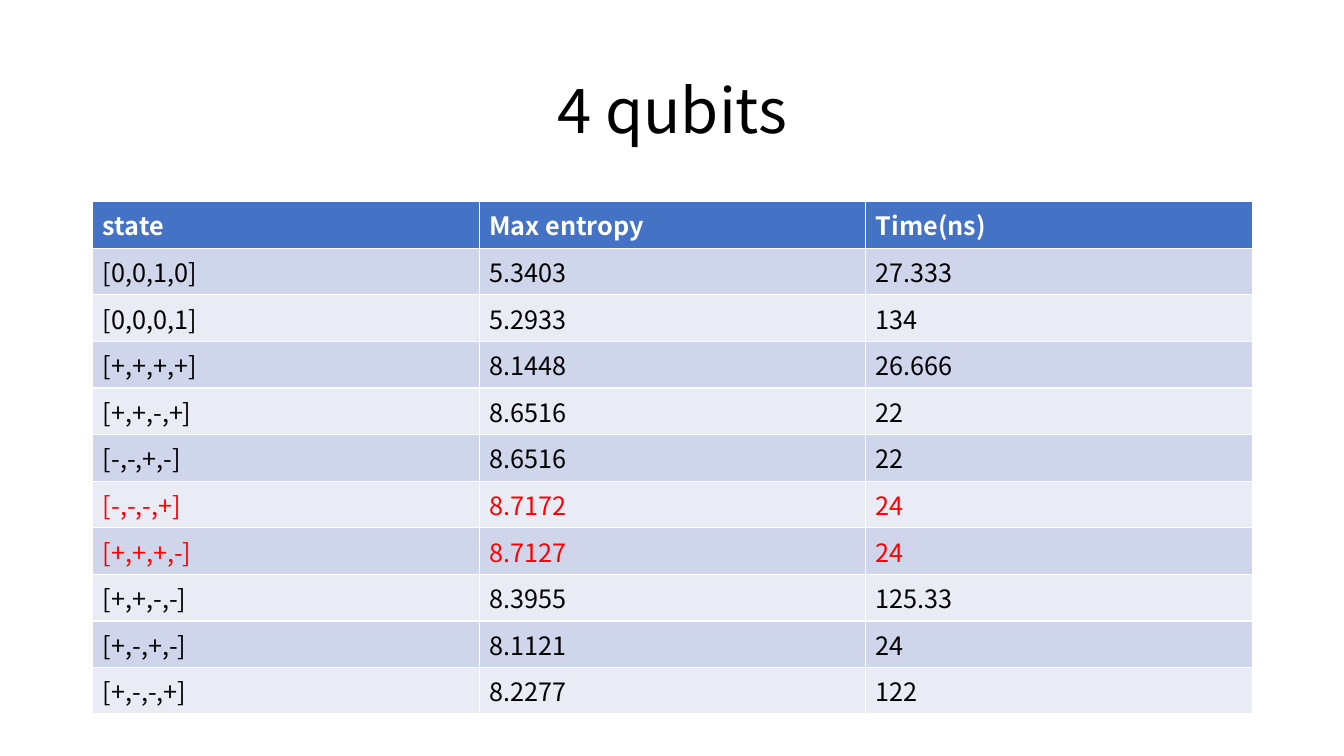
from pptx import Presentation
from pptx.dml.color import RGBColor
from pptx.enum.text import MSO_ANCHOR, PP_ALIGN
from pptx.util import Inches, Pt

FONT = "Noto Sans CJK SC"
COLORS = {
    "header": "4472C4",
    "odd": "CFD5EA",
    "even": "E9EBF5",
    "white": "FFFFFF",
    "text": "000000",
    "best": "FF0000",
}
ROWS = [
    ("state", "Max entropy", "Time(ns)"),
    ("[0,0,1,0]", "5.3403", "27.333"),
    ("[0,0,0,1]", "5.2933", "134"),
    ("[+,+,+,+]", "8.1448", "26.666"),
    ("[+,+,-,+]", "8.6516", "22"),
    ("[-,-,+,-]", "8.6516", "22"),
    ("[-,-,-,+]", "8.7172", "24"),
    ("[+,+,+,-]", "8.7127", "24"),
    ("[+,+,-,-]", "8.3955", "125.33"),
    ("[+,-,+,-]", "8.1121", "24"),
    ("[+,-,-,+]", "8.2277", "122"),
]
BEST_STATES = {"[-,-,-,+]", "[+,+,+,-]"}
LEFT, WIDTH = Inches(0.92), Inches(11.5)
ROW_H = Inches(0.41)


def add_run(p, text, size, color, bold=False):
    r = p.add_run()
    r.text = text
    r.font.name = FONT
    r.font.size = Pt(size)
    r.font.bold = bold
    r.font.color.rgb = RGBColor.from_string(COLORS[color])


prs = Presentation()
prs.slide_width, prs.slide_height = Inches(13.33), Inches(7.5)
s = prs.slides.add_slide(prs.slide_layouts.get_by_name("Title Only"))

# Title
title = s.shapes.title
title.left, title.top = LEFT, Inches(0.4)
title.width, title.height = WIDTH, Inches(1.45)
tf = title.text_frame
tf.vertical_anchor = MSO_ANCHOR.MIDDLE
p = tf.paragraphs[0]
p.alignment = PP_ALIGN.CENTER
p.line_spacing = 0.9
add_run(p, "4 qubits", 44, "text")

# Table: the built-in style draws the white rules
table = s.shapes.add_table(
    len(ROWS), len(ROWS[0]), LEFT, Inches(2), WIDTH, ROW_H * len(ROWS)
).table
for i, row in enumerate(ROWS):
    table.rows[i].height = ROW_H
    if i == 0:
        fill, color = "header", "white"
    else:
        fill = "odd" if i % 2 else "even"
        color = "best" if row[0] in BEST_STATES else "text"
    for j, text in enumerate(row):
        cell = table.cell(i, j)
        cell.fill.solid()
        cell.fill.fore_color.rgb = RGBColor.from_string(COLORS[fill])
        add_run(cell.text_frame.paragraphs[0], text, 18, color, bold=i == 0)

prs.save("out.pptx")
